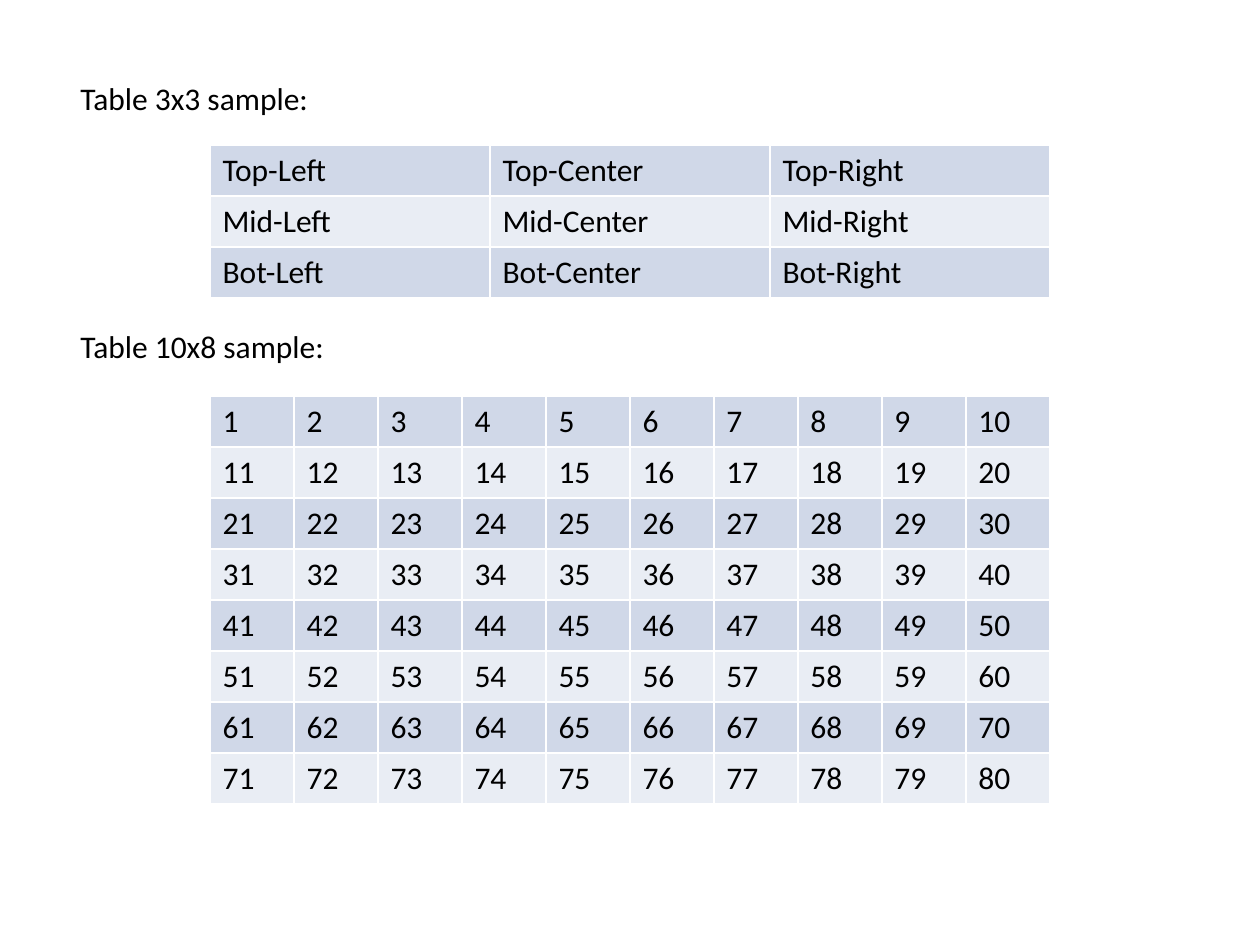
import pptx
import pptx.dml.color
import pptx.enum.text
import pptx.oxml
import pptx.oxml.ns
import pptx.util

EMU_PER_PIXEL = 914400 // 126
BAND_FILLS = ("D0D8E8", "E9EDF4")
BORDER_COLOR = "FFFFFF"
TEXT_COLOR = "000000"
FONT_FORMAT = {"name": "Calibri", "size": pptx.util.Pt(18), "bold": False}
CAPTION_FORMAT = {
    "word_wrap": False,
    "auto_size": pptx.enum.text.MSO_AUTO_SIZE.SHAPE_TO_FIT_TEXT,
}
TABLE_FORMAT = {"first_row": False, "horz_banding": False}


def to_emu(box):
    return [pixels * EMU_PER_PIXEL for pixels in box]


def color(hex_string):
    return pptx.dml.color.RGBColor.from_string(hex_string)


def apply_format(target, values):
    for attribute, value in values.items():
        setattr(target, attribute, value)


def write_text(frame, wording):
    run = frame.paragraphs[0].add_run()
    run.text = wording
    apply_format(run.font, FONT_FORMAT)
    run.font.color.rgb = color(TEXT_COLOR)


def add_borders(cell):
    properties = cell._tc.get_or_add_tcPr()
    for side in ("lnL", "lnR", "lnT", "lnB"):
        properties.append(pptx.oxml.parse_xml(
            f'<a:{side} {pptx.oxml.ns.nsdecls("a")} w="{pptx.util.Pt(1)}">'
            f'<a:solidFill><a:srgbClr val="{BORDER_COLOR}"/></a:solidFill>'
            f'</a:{side}>'))


def add_caption(slide, box, wording):
    caption = slide.shapes.add_textbox(*to_emu(box))
    apply_format(caption.text_frame, CAPTION_FORMAT)
    write_text(caption.text_frame, wording)


def add_grid(slide, box, rows):
    left, top, width, height = to_emu(box)
    grid = slide.shapes.add_table(
        len(rows), len(rows[0]), left, top, width, height).table
    apply_format(grid, TABLE_FORMAT)
    for row_index, row in enumerate(rows):
        for column_index, wording in enumerate(row):
            cell = grid.cell(row_index, column_index)
            add_borders(cell)
            cell.fill.solid()
            cell.fill.fore_color.rgb = color(BAND_FILLS[row_index % 2])
            write_text(cell.text_frame, wording)


def add_sample(slide, box, caption, caption_width, caption_gap, rows):
    left, top, width, row_height = box
    add_caption(slide, (left - 142, top - caption_gap, caption_width, 50), caption)
    add_grid(slide, (left, top, width, row_height * len(rows)), rows)


def build_slide(presentation):
    slide = presentation.slides.add_slide(presentation.slide_layouts[6])
    positions = [[f"{vertical}-{horizontal}"
                  for horizontal in ("Left", "Center", "Right")]
                 for vertical in ("Top", "Mid", "Bot")]
    numbers = [[str(10 * row + column) for column in range(1, 11)]
               for row in range(8)]
    add_sample(slide, (210, 145, 840, 51), "Table 3x3 sample:", 258, 72, positions)
    add_sample(slide, (210, 396, 840, 51), "Table 10x8 sample:", 273, 75, numbers)


presentation = pptx.Presentation()
apply_format(presentation, {
    "slide_width": pptx.util.Inches(10),
    "slide_height": pptx.util.Inches(7.5),
})
build_slide(presentation)
presentation.save("out.pptx")
